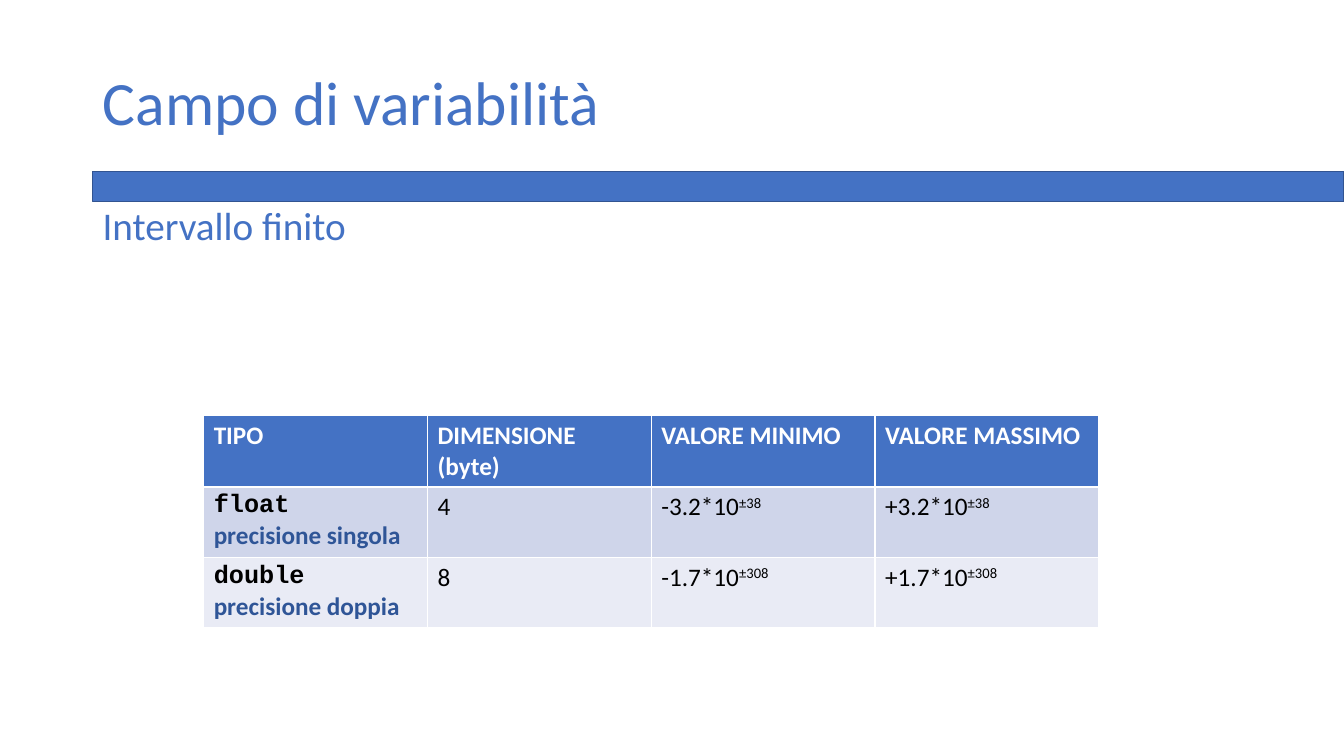
"""Build the slide on the range of floating-point types."""
from pptx import Presentation
from pptx.dml.color import RGBColor
from pptx.enum.shapes import MSO_SHAPE as Shape
from pptx.enum.text import MSO_ANCHOR as Anchor, MSO_AUTO_SIZE as AutoSize, PP_ALIGN as Align
from pptx.util import Inches, Pt

TITLE = "Campo di variabilità"
SUBTITLE = "Intervallo finito"
HEADINGS = ["TIPO", "DIMENSIONE (byte)", "VALORE MINIMO", "VALORE MASSIMO"]
TYPES = [
    ("float", "precisione singola", "4", ("-3.2*10", "±38"), ("+3.2*10", "±38")),
    ("double", "precisione doppia", "8", ("-1.7*10", "±308"), ("+1.7*10", "±308")),
]
COLORS = {"blue": "4472C4", "edge": "325491", "navy": "2F5597", "white": "FFFFFF",
          "black": "000000", "odd": "CFD5EA", "even": "E9EBF5"}
WIDTH, HEIGHT = 13.33, 7.5
MARGIN, CONTENT_WIDTH = 0.92, 11.5
TITLE_TOP, BAR_TOP, BODY_TOP = 0.4, 1.7, 2
TABLE_LEFT, TABLE_TOP = 2.02, 4.12
COLUMN, ROW = 2.22, 0.7


def color(name):
    return RGBColor.from_string(COLORS[name])


def box(left, top, width, height):
    return [Inches(value) for value in (left, top, width, height)]


def write(paragraph, text, size=18, font="Calibri", ink="black", bold=False, raised=False):
    run = paragraph.add_run()
    run.text = text
    run.font.size, run.font.name, run.font.bold = Pt(size), font, bold
    run.font.color.rgb = color(ink)
    if raised:
        run._r.get_or_add_rPr().set("baseline", "30000")


def fill_cell(cell, name):
    cell.fill.solid()
    cell.fill.fore_color.rgb = color(name)
    return cell.text_frame.paragraphs[0]


def set_frame(shape, text, size, anchor):
    frame = shape.text_frame
    frame.word_wrap, frame.auto_size = True, AutoSize.NONE
    frame.vertical_anchor = anchor
    paragraph = frame.paragraphs[0]
    paragraph.alignment, paragraph.line_spacing = Align.LEFT, 0.9
    write(paragraph, text, size=size, ink="blue")


def add_heading(slide):
    bar = slide.shapes.add_shape(
        Shape.RECTANGLE, *box(MARGIN, BAR_TOP, WIDTH - MARGIN, BODY_TOP - BAR_TOP))
    bar.shadow.inherit = False
    bar.fill.solid()
    bar.fill.fore_color.rgb = color("blue")
    bar.line.color.rgb = color("edge")
    bar.line.width = Pt(1)
    title = slide.shapes.title
    title.left, title.top, title.width, title.height = box(
        MARGIN, TITLE_TOP, CONTENT_WIDTH, BAR_TOP - TITLE_TOP)
    set_frame(title, TITLE, 44, Anchor.MIDDLE)
    subtitle = slide.shapes.add_textbox(*box(MARGIN, BODY_TOP, CONTENT_WIDTH, 4.76))
    set_frame(subtitle, SUBTITLE, 28, Anchor.TOP)


def add_types(slide):
    rows, columns = len(TYPES) + 1, len(HEADINGS)
    table = slide.shapes.add_table(
        rows, columns, *box(TABLE_LEFT, TABLE_TOP, columns * COLUMN, rows * ROW)).table
    for column, heading in enumerate(HEADINGS):
        write(fill_cell(table.cell(0, column), "blue"), heading, ink="white", bold=True)
    for row, (keyword, precision, size, *limits) in enumerate(TYPES, 1):
        band = "odd" if row % 2 else "even"
        kind = table.cell(row, 0)
        write(fill_cell(kind, band), keyword, font="Courier New", bold=True)
        write(kind.text_frame.add_paragraph(), precision, ink="navy", bold=True)
        write(fill_cell(table.cell(row, 1), band), size)
        for column, (base, exponent) in enumerate(limits, 2):
            paragraph = fill_cell(table.cell(row, column), band)
            write(paragraph, base)
            write(paragraph, exponent, raised=True)


def main():
    deck = Presentation()
    deck.slide_width, deck.slide_height = Inches(WIDTH), Inches(HEIGHT)
    slide = deck.slides.add_slide(deck.slide_layouts[5])
    add_heading(slide)
    add_types(slide)
    deck.save("out.pptx")


if __name__ == "__main__":
    main()
